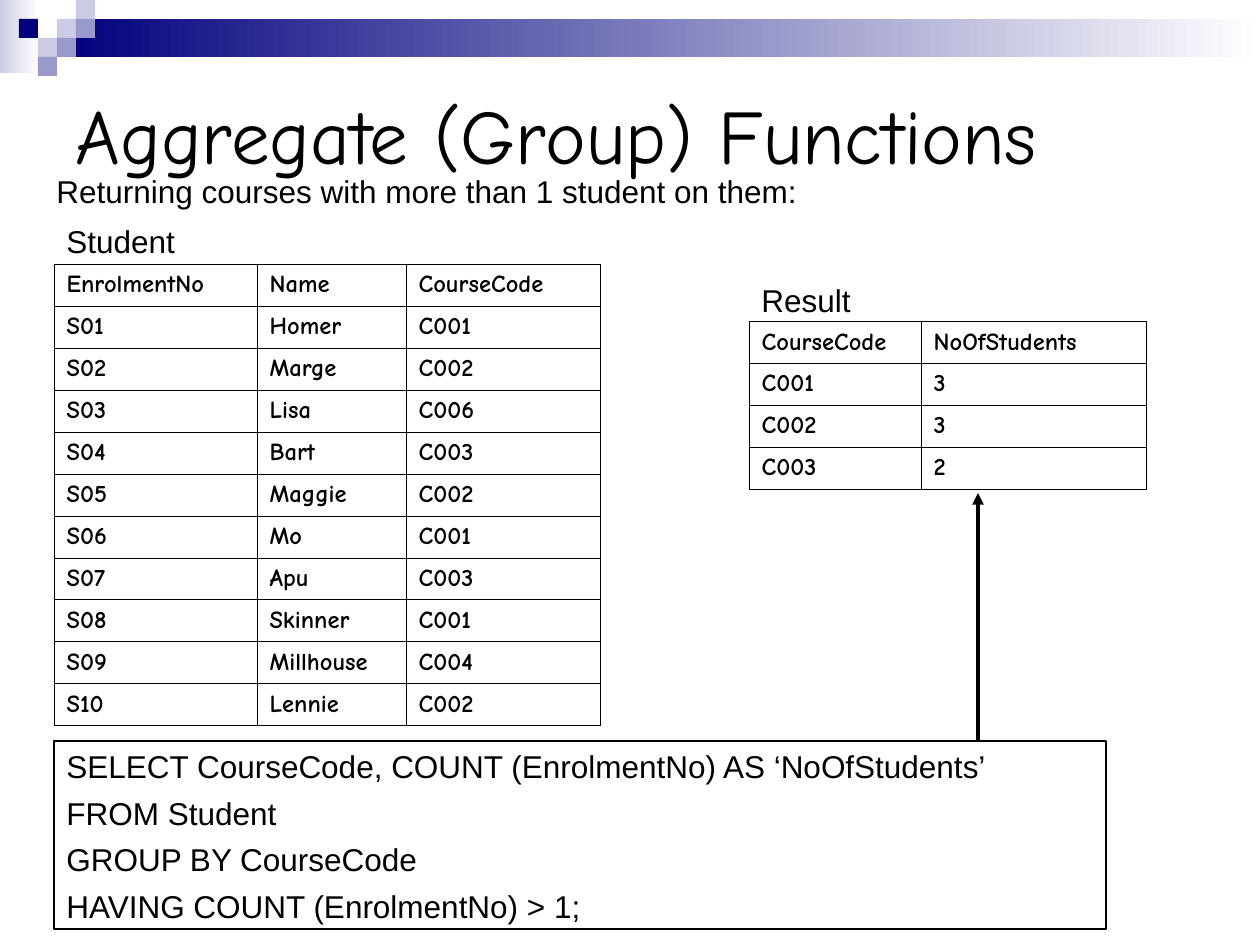
from lxml import etree
from pptx import Presentation
from pptx.dml.color import RGBColor
from pptx.enum.shapes import MSO_CONNECTOR, MSO_SHAPE
from pptx.enum.text import MSO_ANCHOR, PP_ALIGN
from pptx.oxml.ns import qn
from pptx.util import Pt

RECTANGLE = MSO_SHAPE.RECTANGLE
STRAIGHT = MSO_CONNECTOR.STRAIGHT
MIDDLE, TOP = MSO_ANCHOR.MIDDLE, MSO_ANCHOR.TOP
LEFT = PP_ALIGN.LEFT

PX_PER_INCH = 126
BLACK, WHITE = "000000", "FFFFFF"
NAVY, LAVENDER, PALE = "00007D", "9999CC", "CCCCE6"
HAND, SANS = "Comic Neue", "Arial"
ROW_HEIGHT = 42

STUDENTS = [
    ("EnrolmentNo", "Name", "CourseCode"),
    ("S01", "Homer", "C001"),
    ("S02", "Marge", "C002"),
    ("S03", "Lisa", "C006"),
    ("S04", "Bart", "C003"),
    ("S05", "Maggie", "C002"),
    ("S06", "Mo", "C001"),
    ("S07", "Apu", "C003"),
    ("S08", "Skinner", "C001"),
    ("S09", "Millhouse", "C004"),
    ("S10", "Lennie", "C002"),
]
RESULT = [
    ("CourseCode", "NoOfStudents"),
    ("C001", "3"),
    ("C002", "3"),
    ("C003", "2"),
]
QUERY = [
    "SELECT CourseCode, COUNT (EnrolmentNo) AS ‘NoOfStudents’",
    "FROM Student",
    "GROUP BY CourseCode",
    "HAVING COUNT (EnrolmentNo) > 1;",
]


def px(length):
    return round(length * 914400 / PX_PER_INCH)


def color(code):
    return RGBColor.from_string(code)


def style(para, face, size, bold=False):
    para.alignment = LEFT
    for span in para.runs:
        span.font.name = face
        span.font.size = Pt(size)
        span.font.bold = bold
        span.font.color.rgb = color(BLACK)


def add_block(page, left, top, width, height, fill, fade=False):
    block = page.shapes.add_shape(RECTANGLE, *map(px, (left, top, width, height)))
    block.shadow.inherit = False
    block.line.fill.background()
    if fade:
        block.fill.gradient()
        block.fill.gradient_angle = 0
        for stop, code in zip(block.fill.gradient_stops, (fill, WHITE)):
            stop.color.rgb = color(code)
    else:
        block.fill.solid()
        block.fill.fore_color.rgb = color(fill)


def add_banner(page, left, top, width):
    unit = 19
    add_block(page, left, top, 39, 73, PALE, fade=True)
    add_block(page, left + 3 * unit, top + unit, width - 3 * unit, 2 * unit, NAVY, fade=True)
    # Squares as column, row, colour on a grid of one unit
    squares = [(3, 1, PALE), (4, 0, PALE), (4, 1, LAVENDER), (2, 2, PALE),
               (1, 1, NAVY), (3, 2, LAVENDER), (2, 3, LAVENDER)]
    for column, row, fill in squares:
        add_block(page, left + column * unit, top + row * unit, unit, unit, fill)


def add_title(page, left, top, width, height, text):
    title = page.shapes.title
    title.left, title.top, title.width, title.height = map(px, (left, top, width, height))
    title.text_frame.text = text
    title.text_frame.vertical_anchor = MIDDLE
    style(title.text_frame.paragraphs[0], HAND, 44)


def add_text(page, left, top, width, height, lines, outlined=False):
    area = tuple(map(px, (left, top, width, height)))
    if outlined:
        box = page.shapes.add_shape(RECTANGLE, *area)
        box.shadow.inherit = False
        box.fill.background()
        box.line.color.rgb = color(BLACK)
        box.line.width = Pt(0.75)
    else:
        box = page.shapes.add_textbox(*area)
    frame = box.text_frame
    frame.word_wrap = True
    frame.vertical_anchor = TOP
    frame.text = "\n".join(lines)
    for index, para in enumerate(frame.paragraphs):
        style(para, SANS, 18)
        if index:
            para.space_before = Pt(5)


def add_borders(cell):
    properties = cell._tc.get_or_add_tcPr()
    for side in ("lnL", "lnR", "lnT", "lnB"):
        line = etree.SubElement(properties, qn(f"a:{side}"), w=str(Pt(0.34)))
        fill = etree.SubElement(line, qn("a:solidFill"))
        etree.SubElement(fill, qn("a:srgbClr"), val=BLACK)


def add_grid(page, left, top, widths, rows):
    area = map(px, (left, top, sum(widths), ROW_HEIGHT * len(rows)))
    table = page.shapes.add_table(len(rows), len(widths), *area).table
    table.first_row = table.horz_banding = False
    for column, width in zip(table.columns, widths):
        column.width = px(width)
    for row_index, values in enumerate(rows):
        for column_index, value in enumerate(values):
            cell = table.cell(row_index, column_index)
            cell.text_frame.text = value
            style(cell.text_frame.paragraphs[0], HAND, 14, bold=True)
            add_borders(cell)
            if row_index:
                cell.vertical_anchor = TOP
                cell.fill.solid()
                cell.fill.fore_color.rgb = color(WHITE)
            else:
                cell.vertical_anchor = MIDDLE
                cell.fill.background()


def add_arrow(page, x, start, end):
    arrow = page.shapes.add_connector(STRAIGHT, *map(px, (x, start, x, end)))
    arrow.line.color.rgb = color(BLACK)
    arrow.line.width = Pt(2.25)
    etree.SubElement(arrow.line._get_or_add_ln(), qn("a:tailEnd"), type="triangle")
    etree.SubElement(arrow._element.spPr, qn("a:effectLst"))


def build_slide(deck):
    page = deck.slides.add_slide(deck.slide_layouts[5])
    add_banner(page, 0, 0, 1260)
    add_title(page, 63, 63, 1134, 141, "Aggregate (Group) Functions")

    # Source table and the query run on it
    add_grid(page, 54, 264, (203, 149, 194), STUDENTS)
    add_text(page, 54, 741, 1052, 188, QUERY, outlined=True)

    # Query result
    add_arrow(page, 978, 741, 493)
    add_text(page, 749, 275, 149, 50, ["Result"])
    add_grid(page, 749, 321, (172, 225), RESULT)

    # Labels
    add_text(page, 54, 216, 149, 50, ["Student"])
    add_text(page, 44, 166, 1052, 50, ["Returning courses with more than 1 student on them:"])


def main():
    deck = Presentation()
    deck.slide_width, deck.slide_height = px(1260), px(945)
    build_slide(deck)
    deck.save("out.pptx")


if __name__ == "__main__":
    main()
